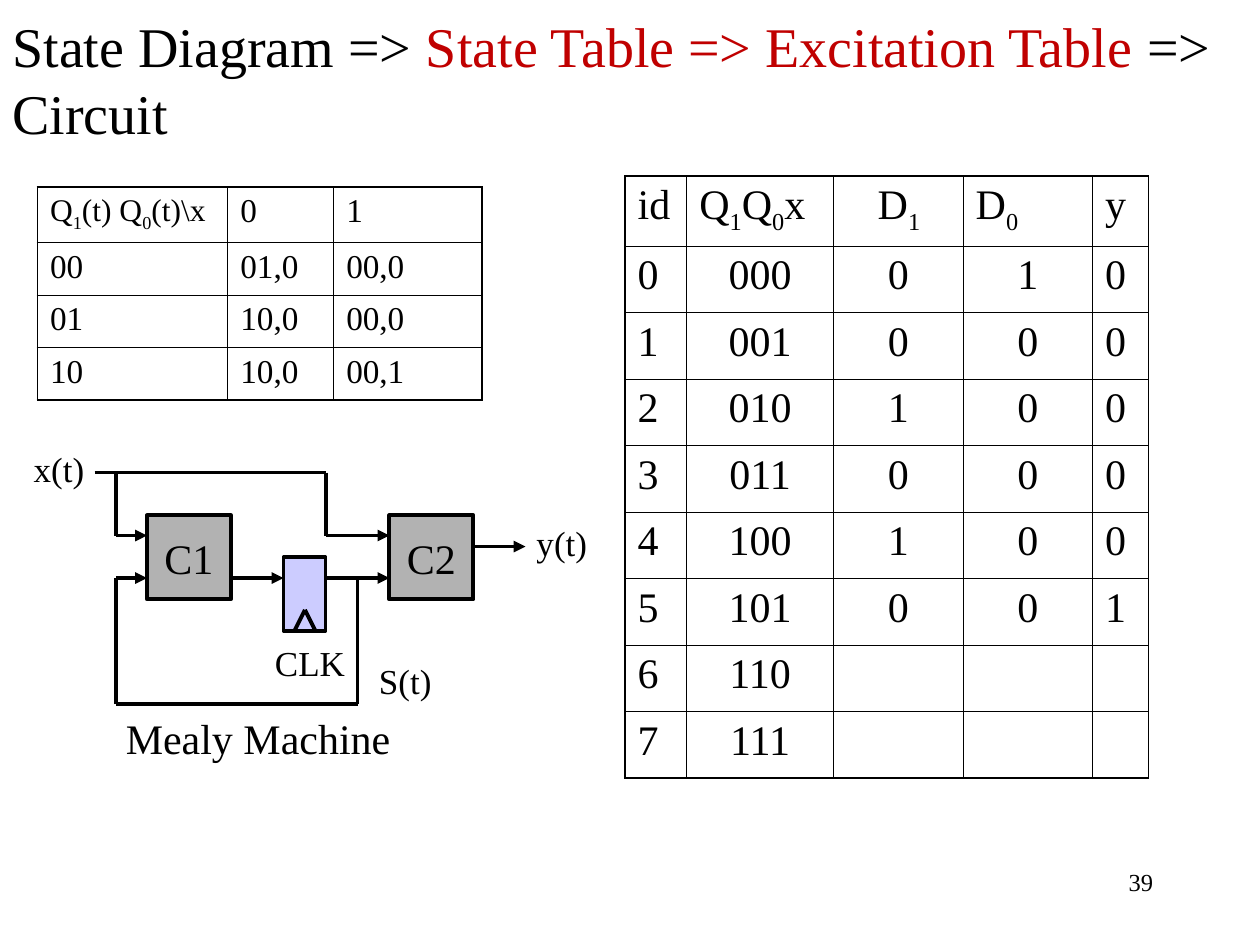
from dataclasses import dataclass
from itertools import pairwise

from pptx import Presentation
from pptx.dml.color import RGBColor as Rgb
from pptx.enum.shapes import MSO_CONNECTOR as Connector, MSO_SHAPE as Preset
from pptx.enum.text import MSO_ANCHOR as Anchor, PP_ALIGN as Align
from pptx.oxml.ns import qn
from pptx.oxml.xmlchemy import OxmlElement as Element
from pptx.util import Pt


@dataclass(frozen=True)
class Theme:
    font: str = "Times New Roman"
    black: Rgb = Rgb(0, 0, 0)
    white: Rgb = Rgb(255, 255, 255)
    red: Rgb = Rgb(0xC0, 0, 0)
    gray: Rgb = Rgb(0xB2, 0xB2, 0xB2)
    lilac: Rgb = Rgb(0xCC, 0xCC, 0xFF)
    title: float = 32
    body: float = 24
    label: float = 20
    state: float = 19
    state_head: float = 18
    page: float = 14
    wire: float = 2.25
    outer: float = 1.08
    inner: float = 0.45


@dataclass(frozen=True)
class Box:
    left: float
    top: float
    width: float
    height: float

    def emu(self) -> tuple:
        return Pt(self.left), Pt(self.top), Pt(self.width), Pt(self.height)


@dataclass(frozen=True)
class Block:
    box: Box
    fill: Rgb
    text: str = ""


@dataclass(frozen=True)
class Label:
    text: str
    box: Box
    size: float
    outline: bool = True


@dataclass(frozen=True)
class Wire:
    points: tuple
    arrow: bool = False


@dataclass(frozen=True)
class Grid:
    box: Box
    columns: tuple
    head_height: float
    row_height: float
    size: float
    head_size: float  # size of the top left cell
    centered: tuple  # columns centred below the header
    rows: tuple  # "|" switches subscript on and off


T = Theme()

# State table and excitation table
STATE_TABLE = Grid(
    Box(21.4, 106.8, 254.2, 121.7), (108.8, 60.5, 84.9), 31.7, 30,
    T.state, T.state_head, (),
    (("Q|1|(t) Q|0|(t)\\x", "0", "1"),
     ("00", "01,0", "00,0"),
     ("01", "10,0", "00,0"),
     ("10", "10,0", "00,1")))

NEXT_STATES = (("0", "1", "0"), ("0", "0", "0"), ("1", "0", "0"), ("0", "0", "0"),
               ("1", "0", "0"), ("0", "0", "1"), ("", "", ""), ("", "", ""))
EXCITATION_TABLE = Grid(
    Box(357.2, 100.6, 299.2, 344), (35.2, 84, 74, 74, 32), 40, 38,
    T.body, T.body, (1, 2, 3),
    (("id", "Q|1|Q|0|x", "D|1", "D|0", "y"),
     *((str(i), f"{i:03b}", *values) for i, values in enumerate(NEXT_STATES))))
D1_HEADER_INDENT = 18

# Mealy machine
BLOCKS = (
    Block(Box(84, 294.5, 48, 48), T.gray, "C1"),
    Block(Box(222.5, 294.5, 48, 48), T.gray, "C2"),
    Block(Box(162, 318.5, 24, 42), T.lilac),
)
LABELS = (
    Label("CLK", Box(150, 363, 57, 31.5), T.label),
    Label("x(t)", Box(12.2, 252, 45, 31.5), T.label),
    Label("y(t)", Box(299.5, 294.5, 45, 31.5), T.label),
    Label("S(t)", Box(209.5, 373.5, 47, 31.5), T.label),
    Label("Mealy Machine", Box(64.8, 403.5, 168, 36), T.body, outline=False),
)
WIRES = (
    Wire(((168.5, 360), (174.25, 348.5), (180, 360))),  # clock notch
    Wire(((54, 270), (186.3, 270), (186.3, 306), (222.5, 306)), arrow=True),
    Wire(((66.3, 270), (66.3, 306), (84, 306)), arrow=True),
    Wire(((132, 330.3), (162, 330.3)), arrow=True),
    Wire(((186, 330.3), (222.5, 330.3)), arrow=True),
    Wire(((270.3, 312.3), (300.3, 312.3)), arrow=True),
    Wire(((204.3, 330.3), (204.3, 402.3), (66.3, 402.3), (66.3, 330.3),
          (84, 330.3)), arrow=True),
)


def style(paragraph, size: float, color: Rgb | None = T.black, align=Align.LEFT) -> None:
    paragraph.alignment = align
    font = paragraph.font
    font.name, font.size = T.font, Pt(size)
    if color is not None:
        font.color.rgb = color


def add_text(slide, box: Box, text: str, size: float, align=Align.LEFT, wrap=True):
    area = slide.shapes.add_textbox(*box.emu())
    area.text_frame.word_wrap = wrap
    paragraph = area.text_frame.paragraphs[0]
    paragraph.text = text
    style(paragraph, size, align=align)
    return area


def add_title(slide, box: Box, parts: tuple) -> None:
    frame = add_text(slide, box, "", T.title).text_frame
    frame.vertical_anchor = Anchor.MIDDLE
    paragraph = frame.paragraphs[0]
    style(paragraph, T.title, color=None)
    for text, color in parts:
        run = paragraph.add_run()
        run.text = text
        run.font.color.rgb = color


def add_label(slide, label: Label) -> None:
    area = add_text(slide, label.box, label.text, label.size, wrap=False)
    if label.outline:
        area.line.color.rgb = T.white
        area.line.width = Pt(0.75)


def add_block(slide, block: Block) -> None:
    shape = slide.shapes.add_shape(Preset.RECTANGLE, *block.box.emu())
    shape.shadow.inherit = False
    shape.fill.solid()
    shape.fill.fore_color.rgb = block.fill
    shape.line.color.rgb = T.black
    shape.line.width = Pt(T.wire)
    if block.text:
        frame = shape.text_frame
        frame.word_wrap = False
        frame.vertical_anchor = Anchor.MIDDLE
        frame.paragraphs[0].text = block.text
        style(frame.paragraphs[0], T.body, align=Align.CENTER)


def add_wire(slide, wire: Wire) -> None:
    for start, end in pairwise(wire.points):
        ends = [Pt(value) for value in (*start, *end)]
        segment = slide.shapes.add_connector(Connector.STRAIGHT, *ends)
        segment.line.color.rgb = T.black
        segment.line.width = Pt(T.wire)
        properties = segment._element.spPr
        if wire.arrow and end == wire.points[-1]:
            head = Element("a:tailEnd")
            head.set("type", "triangle")
            properties.find(qn("a:ln")).append(head)
        properties.append(Element("a:effectLst"))


def set_borders(cell, outer_sides: dict) -> None:
    properties = cell._tc.get_or_add_tcPr()
    for index, (side, is_outer) in enumerate(outer_sides.items()):
        line = Element(f"a:ln{side}")
        line.set("w", str(Pt(T.outer if is_outer else T.inner)))
        fill, color = Element("a:solidFill"), Element("a:srgbClr")
        color.set("val", str(T.black))
        fill.append(color)
        line.append(fill)
        properties.insert(index, line)


def add_grid(slide, grid: Grid):
    last_row, last_column = len(grid.rows) - 1, len(grid.columns) - 1
    table = slide.shapes.add_table(last_row + 1, last_column + 1, *grid.box.emu()).table
    table.first_row = table.horz_banding = False
    for column, width in zip(table.columns, grid.columns):
        column.width = Pt(width)
    for r, texts in enumerate(grid.rows):
        table.rows[r].height = Pt(grid.row_height if r else grid.head_height)
        for c, text in enumerate(texts):
            cell = table.cell(r, c)
            cell.fill.background()
            set_borders(cell, {"L": c == 0, "R": c == last_column,
                               "T": r == 0, "B": r == last_row})
            paragraph = cell.text_frame.paragraphs[0]
            style(paragraph, grid.size if r or c else grid.head_size,
                  align=Align.CENTER if r and c in grid.centered else Align.LEFT)
            for i, part in enumerate(text.split("|") if text else ()):
                run = paragraph.add_run()
                run.text = part
                if i % 2:
                    run._r.get_or_add_rPr().set("baseline", "-25000")
    return table


def main() -> None:
    deck = Presentation()
    deck.slide_width, deck.slide_height = Pt(720), Pt(540)
    slide = deck.slides.add_slide(deck.slide_layouts[6])

    # Page number and title
    add_text(slide, Box(516, 492, 150, 36), "39", T.page, Align.RIGHT)
    add_title(slide, Box(0, 0, 744, 90), (
        ("State Diagram => ", T.black),
        ("State Table => Excitation Table ", T.red),
        ("=> Circuit", T.black)))

    # Tables
    add_grid(slide, STATE_TABLE)
    excitation = add_grid(slide, EXCITATION_TABLE)
    d1_header = excitation.cell(0, 2).text_frame.paragraphs[0]
    d1_header._p.get_or_add_pPr().set("marL", str(Pt(D1_HEADER_INDENT)))

    # Circuit
    for block in BLOCKS:
        add_block(slide, block)
    for label in LABELS:
        add_label(slide, label)
    for wire in WIRES:
        add_wire(slide, wire)

    deck.save("out.pptx")


if __name__ == "__main__":
    main()
